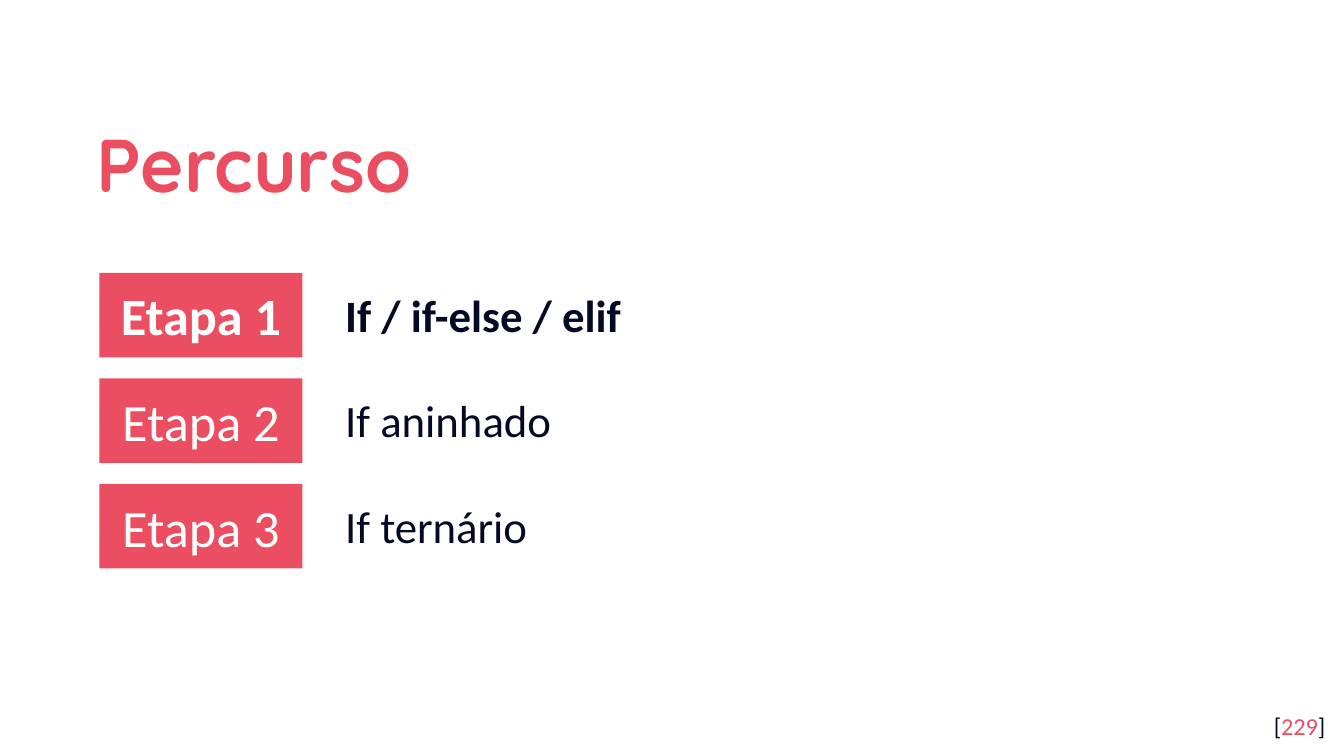
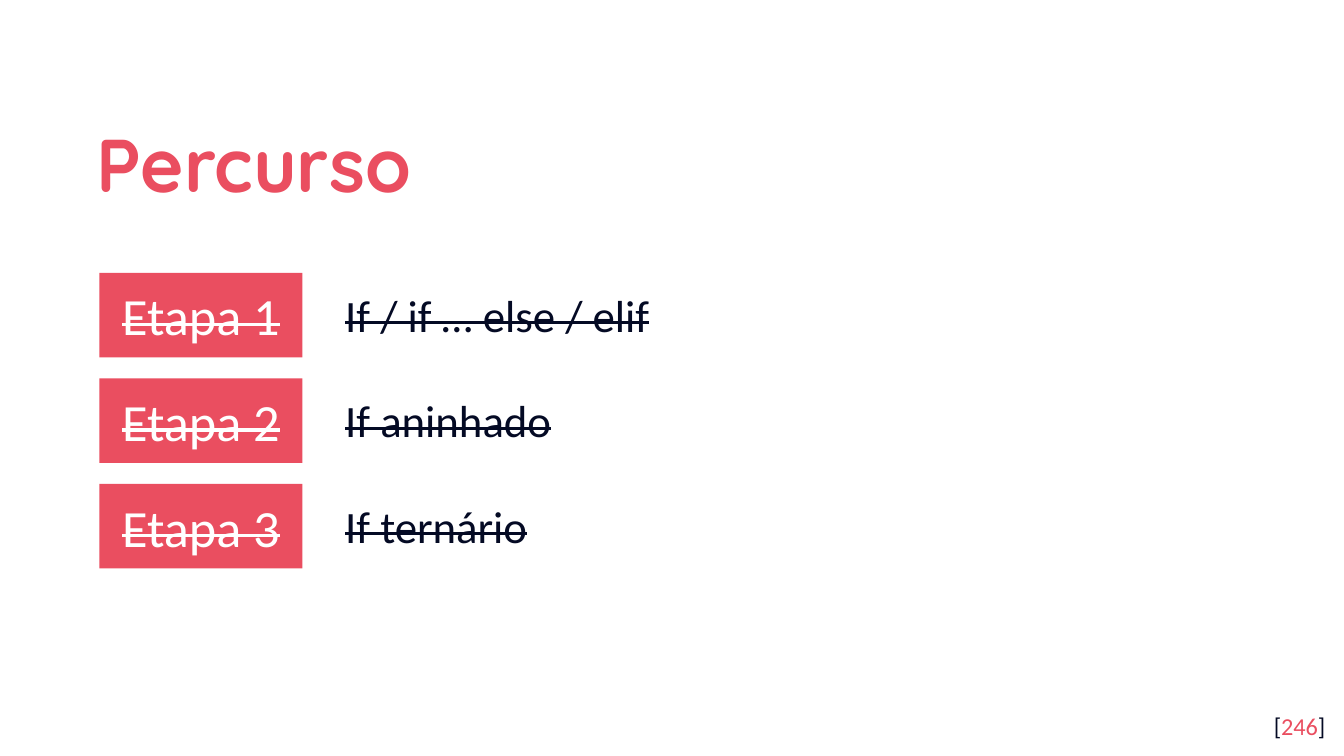
import pptx
import pptx.dml.color
import pptx.enum.shapes
import pptx.enum.text
import pptx.util

Inches = pptx.util.Inches
RGBColor = pptx.dml.color.RGBColor
Align = pptx.enum.text.PP_ALIGN
Anchor = pptx.enum.text.MSO_ANCHOR

CORAL = RGBColor(0xEA, 0x4E, 0x60)
NAVY = RGBColor(0x04, 0x0A, 0x24)
WHITE = RGBColor(0xFF, 0xFF, 0xFF)

FIRST_ROW_TOP = 2.03
LAST_ROW_TOP = 3.6


class Deck:
    title_font = "Quicksand"
    body_font = "Calibri"

    def __init__(self):
        self.presentation = pptx.Presentation()
        self.presentation.slide_width = Inches(10)
        self.presentation.slide_height = Inches(10 * 9 / 16)
        self.slide = None

    def new_slide(self):
        layout = self.presentation.slide_layouts[6]
        self.slide = self.presentation.slides.add_slide(layout)
        self.slide.background.fill.solid()
        self.slide.background.fill.fore_color.rgb = WHITE

    def set_frame(self, shape, anchor, align, vertical_inset=0.1):
        frame = shape.text_frame
        frame.word_wrap = True
        frame.vertical_anchor = anchor
        frame.margin_left = frame.margin_right = Inches(0.1)
        frame.margin_top = frame.margin_bottom = Inches(vertical_inset)
        paragraph = frame.paragraphs[0]
        paragraph.alignment = align
        return paragraph

    def add_text_box(self, left, top, width, height, **frame_style):
        shape = self.slide.shapes.add_textbox(
            Inches(left), Inches(top), Inches(width), Inches(height))
        return self.set_frame(shape, **frame_style)

    def add_run(self, paragraph, text, size, color, font=body_font, bold=False, struck=False):
        run = paragraph.add_run()
        run.text = text
        run.font.name = font
        run.font.size = pptx.util.Pt(size)
        run.font.bold = bold
        run.font.color.rgb = color
        if struck:
            run._r.get_or_add_rPr().set("strike", "sngStrike")

    def add_title(self, text):
        paragraph = self.add_text_box(
            0.62, 0.7, 8.1, 0.92, anchor=Anchor.MIDDLE, align=Align.LEFT)
        paragraph.line_spacing = 1.15
        self.add_run(paragraph, text, 40, CORAL, font=self.title_font, bold=True)

    def add_page_number(self, number):
        paragraph = self.add_text_box(
            9.36, 5.19, 0.6, 0.43, anchor=Anchor.TOP, align=Align.RIGHT)
        for text, color in (("[", NAVY), (str(number), CORAL), ("]", NAVY)):
            self.add_run(paragraph, text, 13, color)

    def add_stage_label(self, text, top, **run_style):
        shape = self.slide.shapes.add_shape(
            pptx.enum.shapes.MSO_SHAPE.RECTANGLE,
            Inches(0.74), Inches(top), Inches(1.51), Inches(0.63))
        shape.shadow.inherit = False
        shape.fill.solid()
        shape.fill.fore_color.rgb = CORAL
        shape.line.fill.background()
        paragraph = self.set_frame(shape, Anchor.MIDDLE, Align.CENTER)
        self.add_run(paragraph, text, 28, WHITE, **run_style)

    def add_stage_topic(self, text, top, **run_style):
        paragraph = self.add_text_box(
            2.47, top, 6.75, 0.5,
            anchor=Anchor.TOP, align=Align.LEFT, vertical_inset=0.05)
        self.add_run(paragraph, text, 24, NAVY, **run_style)

    def add_route(self, page_number, topics, current=None, done=False):
        self.new_slide()
        self.add_title("Percurso")
        self.add_page_number(page_number)
        row_step = (LAST_ROW_TOP - FIRST_ROW_TOP) / (len(topics) - 1)
        for index, topic in enumerate(topics):
            stage = index + 1
            top = FIRST_ROW_TOP + index * row_step
            run_style = {"bold": stage == current, "struck": done}
            self.add_stage_label(f"Etapa {stage}", top, **run_style)
            self.add_stage_topic(topic, top + 0.06, **run_style)


def main():
    deck = Deck()
    deck.add_route(229, ["If / if-else / elif", "If aninhado", "If ternário"], current=1)
    deck.add_route(246, ["If / if … else / elif", "If aninhado", "If ternário"], done=True)
    deck.presentation.save("out.pptx")


if __name__ == "__main__":
    main()
